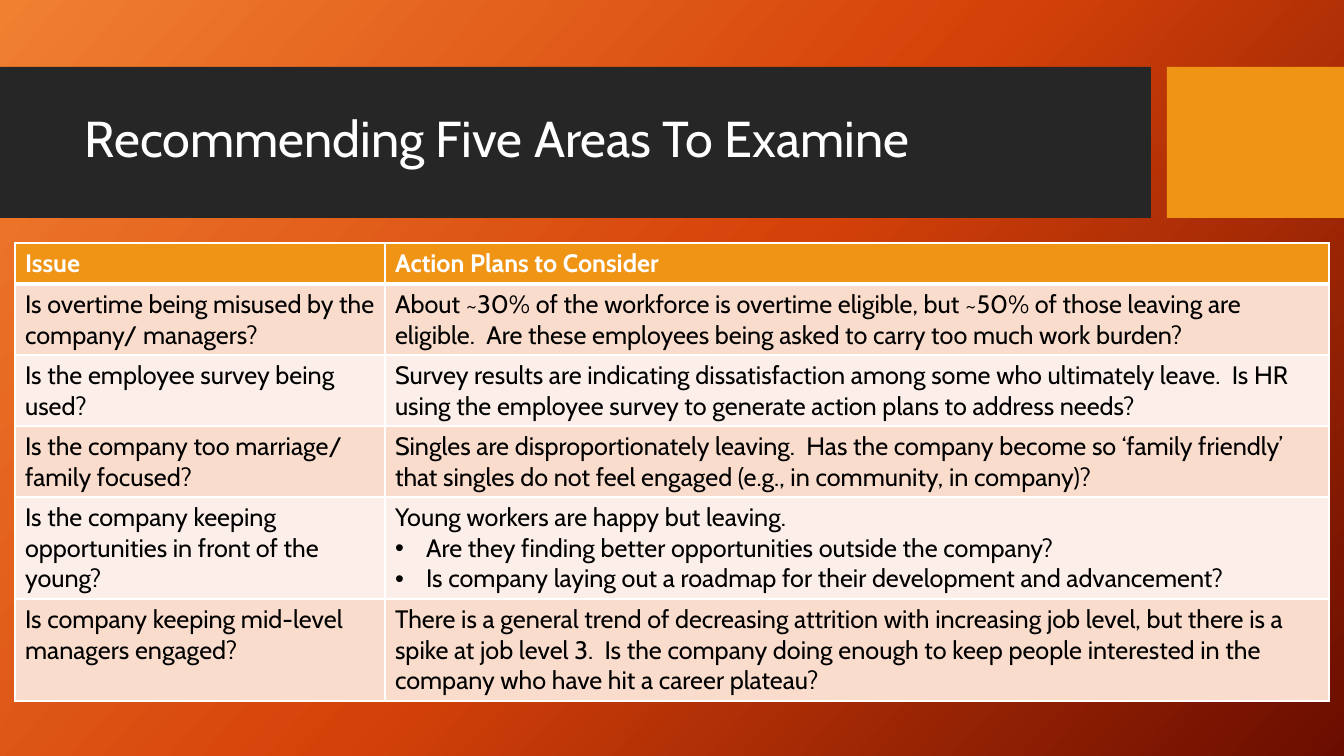
from copy import deepcopy

from lxml.etree import SubElement
from pptx import Presentation
from pptx.dml.color import RGBColor
from pptx.enum.shapes import MSO_SHAPE
from pptx.enum.text import MSO_ANCHOR
from pptx.oxml.ns import qn
from pptx.util import Emu, Pt

FONT = "Cabin"
EMU_PER_PX = 12192000 / 1344
COLOURS = {
    "glow": "F18031", "flame": "D54209", "ember": "6A0D00",
    "banner": "262626", "accent": "F09415", "white": "FFFFFF",
    "ink": "000000", "dark band": "F9DCCC", "light band": "FCEEE8",
}
BULLET = "• "
COLUMN_WIDTHS = [370, 944]
ROW_HEIGHTS = [41, 71, 71, 71, 102, 102]
ROWS = [
    ("Issue", "Action Plans to Consider"),
    ("Is overtime being misused by the company/ managers?",
     "About ~30% of the workforce is overtime eligible, but ~50% of those leaving are eligible.  "
     "Are these employees being asked to carry too much work burden?"),
    ("Is the employee survey being used?",
     "Survey results are indicating dissatisfaction among some who ultimately leave.  "
     "Is HR using the employee survey to generate action plans to address needs?"),
    ("Is the company too marriage/ family focused?",
     "Singles are disproportionately leaving.  Has the company become so ‘family friendly’ "
     "that singles do not feel engaged (e.g., in community, in company)?"),
    ("Is the company keeping opportunities in front of the young?",
     "Young workers are happy but leaving.\n"
     "• Are they finding better opportunities outside the company?\n"
     "• Is company laying out a roadmap for their development and advancement?"),
    ("Is company keeping mid-level managers engaged?",
     "There is a general trend of decreasing attrition with increasing job level, but there is "
     "a spike at job level 3.  Is the company doing enough to keep people interested in the "
     "company who have hit a career plateau?"),
]


def px(length):
    return Emu(round(length * EMU_PER_PX))


def colour(name):
    return RGBColor.from_string(COLOURS[name])


def paint_background(page):
    fill = page.background.fill
    fill.gradient()
    fill.gradient_angle = 360 - 42
    stop_list = page.element.find(".//" + qn("a:gsLst"))
    stop_list.append(deepcopy(stop_list[0]))
    for stop, name, position in zip(fill.gradient_stops, ("glow", "flame", "ember"), (0, 0.5, 1)):
        stop.color.rgb = colour(name)
        stop.position = position


def add_block(page, left, top, width, height, fill):
    block = page.shapes.add_shape(MSO_SHAPE.RECTANGLE, px(left), px(top), px(width), px(height))
    block.shadow.inherit = False
    block.fill.solid()
    block.fill.fore_color.rgb = colour(fill)
    block.line.fill.background()


def style_text(paragraph, size, ink, bold=False):
    for span in paragraph.runs:
        span.font.name = FONT
        span.font.size = Pt(size)
        span.font.bold = bold
        span.font.color.rgb = colour(ink)


def add_title(page, text, left, top, width, height):
    box = page.shapes.add_textbox(px(left), px(top), px(width), px(height))
    frame = box.text_frame
    frame.word_wrap = True
    frame.vertical_anchor = MSO_ANCHOR.MIDDLE
    frame.text = text
    frame.paragraphs[0].line_spacing = 0.9
    style_text(frame.paragraphs[0], 36, "white")


def add_bullet(paragraph):
    properties = paragraph._p.get_or_add_pPr()
    properties.set("marL", str(px(31)))
    properties.set("indent", str(-px(31)))
    SubElement(properties, qn("a:buFont")).set("typeface", "Arial")
    SubElement(properties, qn("a:buChar")).set("char", BULLET.strip())


def add_borders(cell, **widths):
    """Draw white cell borders; widths are points for L, R, T and B."""
    properties = cell._tc.get_or_add_tcPr()
    for side, width in widths.items():
        line = SubElement(properties, qn(f"a:ln{side}"), w=str(Pt(width)))
        paint = SubElement(line, qn("a:solidFill"))
        SubElement(paint, qn("a:srgbClr"), val=COLOURS["white"])


def fill_cell(cell, text, row):
    header = row == 0
    add_borders(cell, L=1, R=1, T=3 if row == 1 else 1, B=3 if header else 1)
    band = "accent" if header else "dark band" if row % 2 else "light band"
    cell.fill.solid()
    cell.fill.fore_color.rgb = colour(band)
    cell.text_frame.text = text
    for paragraph in cell.text_frame.paragraphs:
        if paragraph.text.startswith(BULLET):
            paragraph.text = paragraph.text.removeprefix(BULLET)
            add_bullet(paragraph)
        style_text(paragraph, 18, "white" if header else "ink", header)


def add_issue_table(page, left, top):
    table = page.shapes.add_table(
        len(ROWS), len(COLUMN_WIDTHS), px(left), px(top),
        px(sum(COLUMN_WIDTHS)), px(sum(ROW_HEIGHTS))).table
    for column, width in zip(table.columns, COLUMN_WIDTHS):
        column.width = px(width)
    for index, (height, texts) in enumerate(zip(ROW_HEIGHTS, ROWS)):
        table.rows[index].height = px(height)
        for column, text in enumerate(texts):
            fill_cell(table.cell(index, column), text, index)


def main():
    deck = Presentation()
    deck.slide_width, deck.slide_height = px(1344), px(756)
    page = deck.slides.add_slide(deck.slide_layouts[6])
    paint_background(page)
    add_block(page, 0, 67, 1151, 151, "banner")
    add_block(page, 1167, 67, 177, 151, "accent")
    add_title(page, "Recommending Five Areas To Examine", 75, 82, 1059, 119)
    add_issue_table(page, 15, 243)
    deck.save("out.pptx")


if __name__ == "__main__":
    main()
